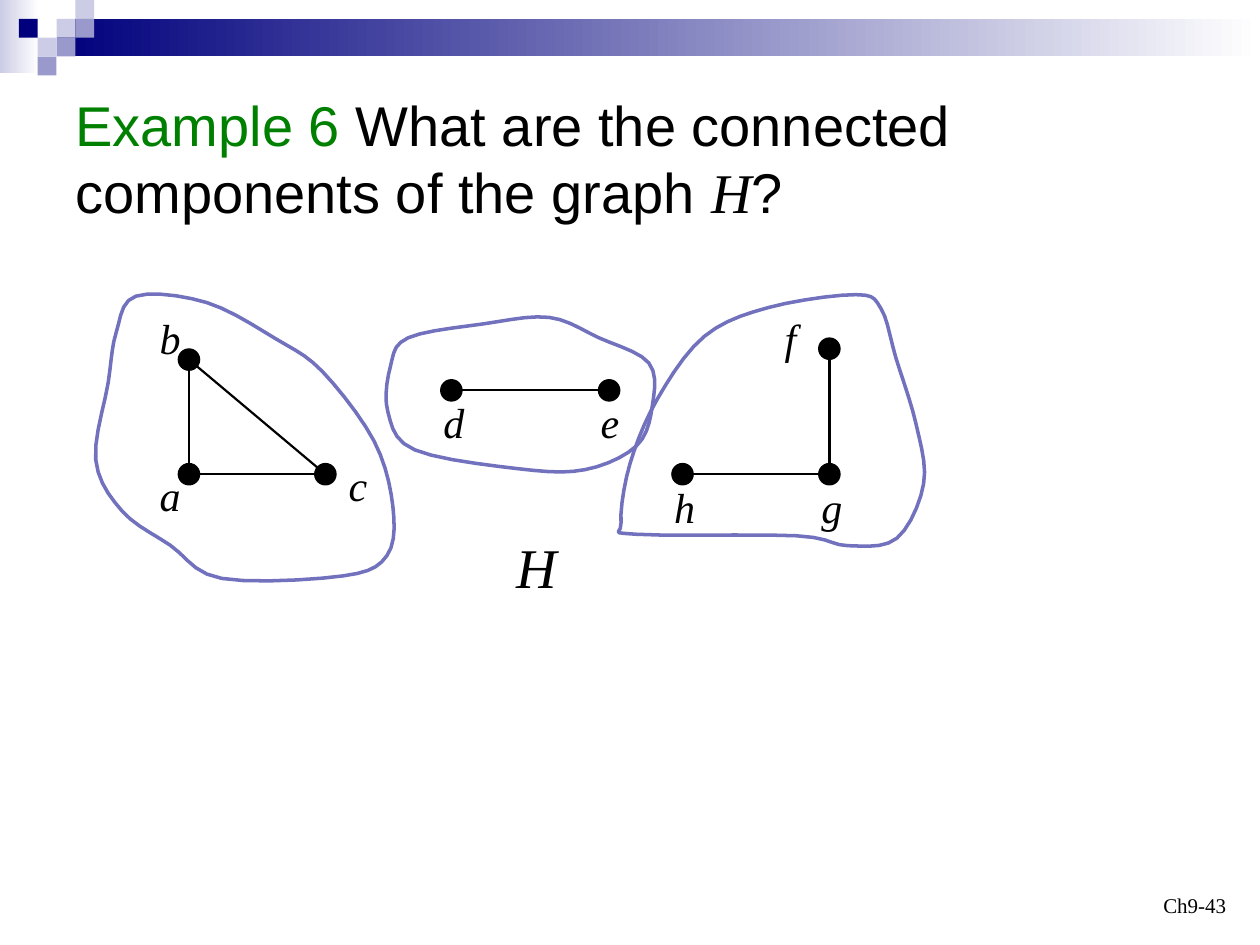
from lxml.etree import SubElement
from pptx import Presentation
from pptx.dml.color import RGBColor
from pptx.enum.shapes import MSO_CONNECTOR, MSO_SHAPE
from pptx.enum.text import MSO_ANCHOR, MSO_AUTO_SIZE, PP_ALIGN
from pptx.oxml.ns import qn
from pptx.util import Cm, Pt

COLORS = {
    "navy": "00007D", "mid": "9999CC", "light": "CCCCE6", "white": "FFFFFF",
    "green": "008000", "black": "000000", "loop": "7171BD",
}
TILE = 0.38
TILES = [  # color, column, row
    ("light", 3, 1), ("light", 4, 0), ("mid", 4, 1), ("light", 2, 2),
    ("navy", 1, 1), ("mid", 3, 2), ("mid", 2, 3),
]

SANS = {"name": "Arial", "size": Pt(32), "italic": False}
LARGE_MATH = {"name": "Times New Roman", "size": Pt(32), "italic": True}
MATH = {**LARGE_MATH, "size": Pt(24)}
SMALL_SERIF = {"name": "Times New Roman", "size": Pt(12)}

WRAPPED = {"word_wrap": True, "auto_size": MSO_AUTO_SIZE.SHAPE_TO_FIT_TEXT}
UNWRAPPED = {**WRAPPED, "word_wrap": False}
FOOTER = {"word_wrap": True, "vertical_anchor": MSO_ANCHOR.BOTTOM}

NODE_SIZE = 0.43
NODES = {  # centre of each vertex, cm
    "b": (3.81, 7.25), "a": (3.81, 9.56), "c": (6.56, 9.56),
    "d": (9.1, 7.87), "e": (12.28, 7.87),
    "f": (16.72, 7.03), "g": (16.72, 9.56), "h": (13.76, 9.56),
}
EDGES = ["ba", "ac", "de", "hg", "fg", "bc"]
LABELS = {  # left, top, cm
    "a": (2.97, 9.35), "b": (2.97, 6.17), "c": (6.78, 9.14), "d": (8.69, 7.87),
    "e": (11.86, 7.87), "h": (13.34, 9.58), "g": (16.31, 9.58), "f": (15.57, 6.17),
}
LABEL_SIZE = (0.94, 1.27)

STEPS = 5  # straight pieces between two loop points
LOOPS = [  # points each outline passes through, cm
    [(2.74, 5.97), (4.17, 6.1), (5.56, 6.83), (6.5, 7.49), (7.54, 8.89),
     (7.92, 10.21), (7.8, 11.2), (6.91, 11.61), (4.47, 11.66), (3.43, 10.99),
     (2.46, 10.3), (1.93, 9.27), (2.18, 7.72), (2.34, 6.71)],
    [(8.23, 6.81), (9.75, 6.53), (11.07, 6.4), (12.07, 6.81), (13.08, 7.32),
     (13.15, 8.18), (12.83, 8.99), (11.79, 9.47), (10.44, 9.45), (8.36, 9.07),
     (7.82, 8.31), (7.87, 7.39)],
    [(17.25, 5.94), (15.49, 6.2), (14.2, 6.78), (13.26, 8.03), (12.7, 9.35),
     (12.52, 10.54), (12.83, 10.77), (16.05, 10.8), (17.09, 11), (18.08, 10.85),
     (18.62, 9.75), (18.47, 8.56), (18.06, 7.21), (17.76, 6.22)],
]


def rgb(color):
    return RGBColor.from_string(COLORS[color])


def apply(target, values):
    for key, value in values.items():
        setattr(target, key, value)


def add_plain(slide, preset, box, color):
    mark = slide.shapes.add_shape(preset, *map(Cm, box))
    mark.shadow.inherit = False
    mark.fill.solid()
    mark.fill.fore_color.rgb = rgb(color)
    mark.line.fill.background()
    return mark


def add_fade(slide, box, color):
    """Add a bar that fades from the color to white, left to right."""
    bar = add_plain(slide, MSO_SHAPE.RECTANGLE, box, color)
    bar.fill.gradient()
    bar.fill.gradient_angle = 0
    for stop, shade in zip(bar.fill.gradient_stops, (color, "white")):
        stop.color.rgb = rgb(shade)


def add_text(slide, box, runs, frame_format, align=PP_ALIGN.LEFT):
    frame = slide.shapes.add_textbox(*map(Cm, box)).text_frame
    apply(frame, frame_format)
    paragraph = frame.paragraphs[0]
    paragraph.alignment = align
    for words, color, font_format in runs:
        run = paragraph.add_run()
        run.text = words
        apply(run.font, font_format)
        run.font.color.rgb = rgb(color)


def add_node(slide, center):
    x, y = center
    box = (x - NODE_SIZE / 2, y - NODE_SIZE / 2, NODE_SIZE, NODE_SIZE)
    node = add_plain(slide, MSO_SHAPE.OVAL, box, "black")
    node.line.color.rgb = rgb("black")
    node.line.width = Pt(0.75)


def add_edge(slide, start, end):
    edge = slide.shapes.add_connector(MSO_CONNECTOR.STRAIGHT, *map(Cm, start + end))
    edge.line.color.rgb = rgb("black")
    edge.line.width = Pt(1.25)
    SubElement(edge.element.spPr, qn("a:effectLst"))


def spline(before, start, end, after, t):
    """Return the Catmull-Rom value at t between start and end."""
    return start + t / 2 * (
        end - before
        + t * (2 * before - 5 * start + 4 * end - after)
        + t * t * (3 * (start - end) + after - before)
    )


def smooth_outline(points):
    count = len(points)
    for i in range(count):
        near = [points[(i + shift) % count] for shift in (-1, 0, 1, 2)]
        for step in range(STEPS):
            yield tuple(Cm(spline(*axis, step / STEPS)) for axis in zip(*near))


def add_loop(slide, points):
    """Add the hand-drawn outline around one component."""
    first, *rest = smooth_outline(points)
    builder = slide.shapes.build_freeform(*first)
    builder.add_line_segments(rest, close=True)
    loop = builder.convert_to_shape()
    loop.shadow.inherit = False
    loop.fill.background()
    loop.line.color.rgb = rgb("loop")
    loop.line.width = Pt(2)


def main():
    deck = Presentation()
    deck.slide_width, deck.slide_height = Cm(25.4), Cm(19.05)
    slide = deck.slides.add_slide(deck.slide_layouts[6])

    add_fade(slide, (0, 0, 0.79, 1.47), "light")
    add_fade(slide, (3 * TILE, TILE, 24.26, 2 * TILE), "navy")
    for color, column, row in TILES:
        box = (column * TILE, row * TILE, TILE, TILE)
        add_plain(slide, MSO_SHAPE.RECTANGLE, box, color)

    question = [
        ("Example 6 ", "green", SANS),
        ("What are the connected components of the graph ", "black", SANS),
        ("H", "black", LARGE_MATH),
        ("?", "black", SANS),
    ]
    add_text(slide, (1.27, 1.7, 22.02, 2.97), question, WRAPPED)

    for center in NODES.values():
        add_node(slide, center)
    for start, end in EDGES:
        add_edge(slide, NODES[start], NODES[end])
    for letter, corner in LABELS.items():
        add_text(slide, corner + LABEL_SIZE, [(letter, "black", MATH)], UNWRAPPED)
    add_text(slide, (10.16, 10.62, 1.32, 1.6), [("H", "black", LARGE_MATH)], UNWRAPPED)

    for points in LOOPS:
        add_loop(slide, points)
    add_text(slide, (19.05, 17.35, 5.92, 1.27), [("Ch9-43", "black", SMALL_SERIF)],
             FOOTER, PP_ALIGN.RIGHT)
    deck.save("out.pptx")


if __name__ == "__main__":
    main()
